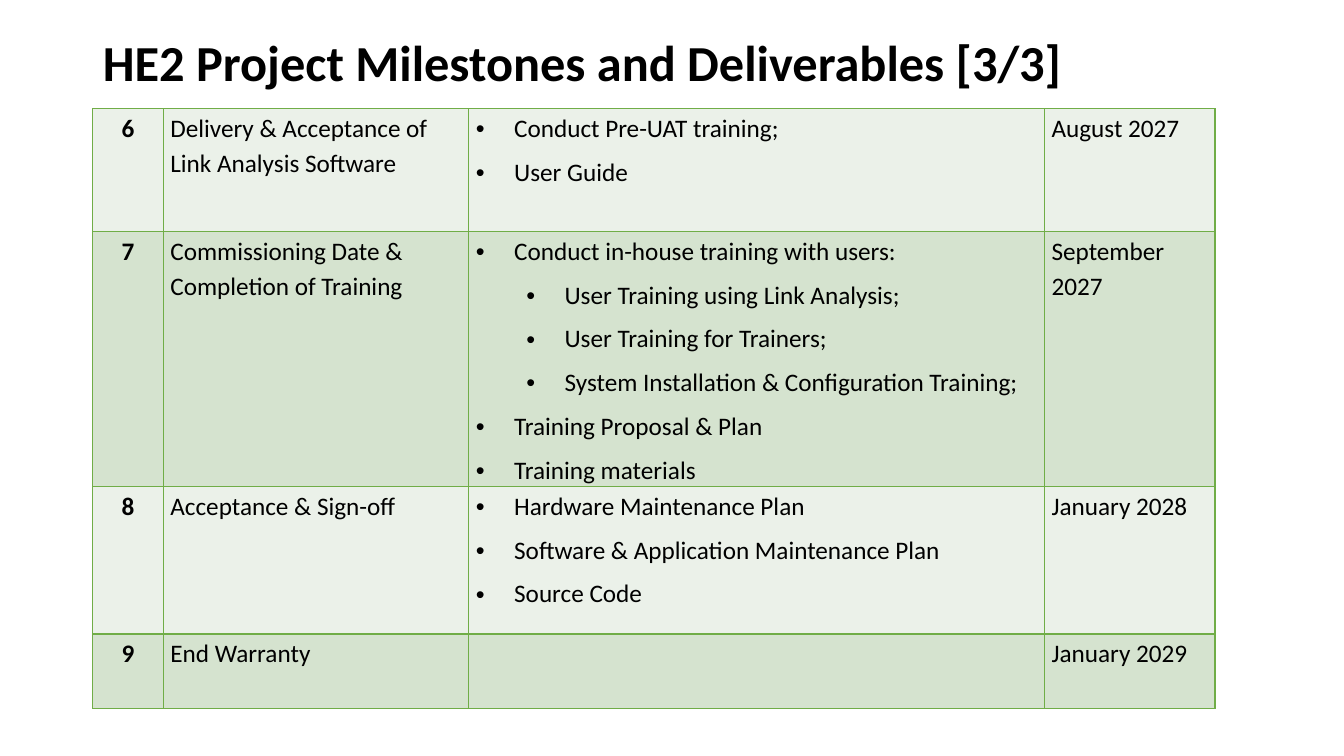
"""Build the project milestones and deliverables slide."""
from dataclasses import dataclass

from lxml import etree
from pptx import Presentation
from pptx.dml.color import RGBColor
from pptx.enum import text
from pptx.oxml import ns
from pptx.util import Inches, Pt

TITLE = "HE2 Project Milestones and Deliverables [3/3]"
MILESTONES = [
    ("6", "Delivery & Acceptance of Link Analysis Software",
     [(0, "Conduct Pre-UAT training;"), (0, "User Guide")], "August 2027"),
    ("7", "Commissioning Date & Completion of Training",
     [(0, "Conduct in-house training with users:"),
      (1, "User Training using Link Analysis;"),
      (1, "User Training for Trainers;"),
      (1, "System Installation & Configuration Training;"),
      (0, "Training Proposal & Plan"),
      (0, "Training materials")], "September 2027"),
    ("8", "Acceptance & Sign-off",
     [(0, "Hardware Maintenance Plan"),
      (0, "Software & Application Maintenance Plan"),
      (0, "Source Code")], "January 2028"),
    ("9", "End Warranty", [], "January 2029"),
]
COLUMN_WIDTHS = [0.7, 3.03, 5.71, 1.69]
ROW_HEIGHTS = [1.22, 2.53, 1.46, 0.74]
LEFT, TABLE_TOP = 0.92, 1.08
HANGING, LEVEL_STEP = 0.38, 0.5


@dataclass(frozen=True)
class Theme:
    """Colours, font and type sizes."""
    font: str = "Calibri"
    ink: str = "000000"
    border: str = "70AD47"
    bands: tuple = ("EBF1E9", "D5E3CF")
    title_size: int = 36
    body_size: int = 18


THEME = Theme()


def format_runs(paragraph, size, bold):
    """Apply the theme font to every run of a paragraph."""
    for run in paragraph.runs:
        run.font.name = THEME.font
        run.font.size = Pt(size)
        run.font.bold = bold
        run.font.color.rgb = RGBColor.from_string(THEME.ink)


def add_bullet(paragraph, level):
    """Give a paragraph a hanging bullet at its level."""
    paragraph.level = level
    properties = paragraph._p.get_or_add_pPr()
    properties.set("marL", str(Inches(HANGING + LEVEL_STEP * level)))
    properties.set("indent", str(-Inches(HANGING)))
    etree.SubElement(properties, ns.qn("a:buFont"), typeface="Arial")
    etree.SubElement(properties, ns.qn("a:buChar"), char="•")


def style_cell(cell, fill):
    """Set the margins, borders and fill of a cell."""
    cell.margin_left = cell.margin_right = Inches(0.07)
    cell.margin_top = cell.margin_bottom = 0
    properties = cell._tc.get_or_add_tcPr()
    for side in ("lnL", "lnR", "lnT", "lnB"):
        line = etree.SubElement(properties, ns.qn(f"a:{side}"), w=str(Pt(1)))
        solid = etree.SubElement(line, ns.qn("a:solidFill"))
        etree.SubElement(solid, ns.qn("a:srgbClr"), val=THEME.border)
    cell.fill.solid()
    cell.fill.fore_color.rgb = RGBColor.from_string(fill)


def write_cell(cell, content, is_number):
    """Write plain text or a list of levelled bullets into a cell."""
    bulleted = isinstance(content, list)
    items = content if bulleted else [(0, content)]
    cell.text_frame.text = "\n".join(item for _, item in items)
    for paragraph, (level, _) in zip(cell.text_frame.paragraphs, items):
        paragraph.line_spacing = 1.15
        paragraph.space_before = paragraph.space_after = Pt(3)
        if is_number:
            paragraph.alignment = text.PP_ALIGN.CENTER
        if bulleted:
            add_bullet(paragraph, level)
        format_runs(paragraph, THEME.body_size, is_number)


def add_title(slide):
    """Place and format the slide title."""
    title = slide.shapes.title
    title.left, title.top = Inches(LEFT), Inches(0.4)
    title.width, title.height = Inches(11.5), Inches(0.49)
    frame = title.text_frame
    frame.text = TITLE
    frame.auto_size = text.MSO_AUTO_SIZE.NONE
    frame.vertical_anchor = text.MSO_ANCHOR.MIDDLE
    paragraph = frame.paragraphs[0]
    paragraph.alignment = text.PP_ALIGN.LEFT
    paragraph.line_spacing = 0.9
    format_runs(paragraph, THEME.title_size, True)


def add_milestones(slide):
    """Add the milestone table."""
    table = slide.shapes.add_table(
        len(MILESTONES), len(COLUMN_WIDTHS), Inches(LEFT), Inches(TABLE_TOP),
        Inches(sum(COLUMN_WIDTHS)), Inches(sum(ROW_HEIGHTS))).table
    table.first_row = table.horz_banding = False
    for column, width in zip(table.columns, COLUMN_WIDTHS):
        column.width = Inches(width)
    for index, (row, height) in enumerate(zip(table.rows, ROW_HEIGHTS)):
        row.height = Inches(height)
        for position, content in enumerate(MILESTONES[index]):
            cell = table.cell(index, position)
            style_cell(cell, THEME.bands[index % 2])
            if content:
                write_cell(cell, content, position == 0)


def main():
    """Create and save the presentation."""
    presentation = Presentation()
    presentation.slide_width = Inches(13.33)
    presentation.slide_height = Inches(7.5)
    slide = presentation.slides.add_slide(presentation.slide_layouts[5])
    add_title(slide)
    add_milestones(slide)
    presentation.save("out.pptx")


if __name__ == "__main__":
    main()
